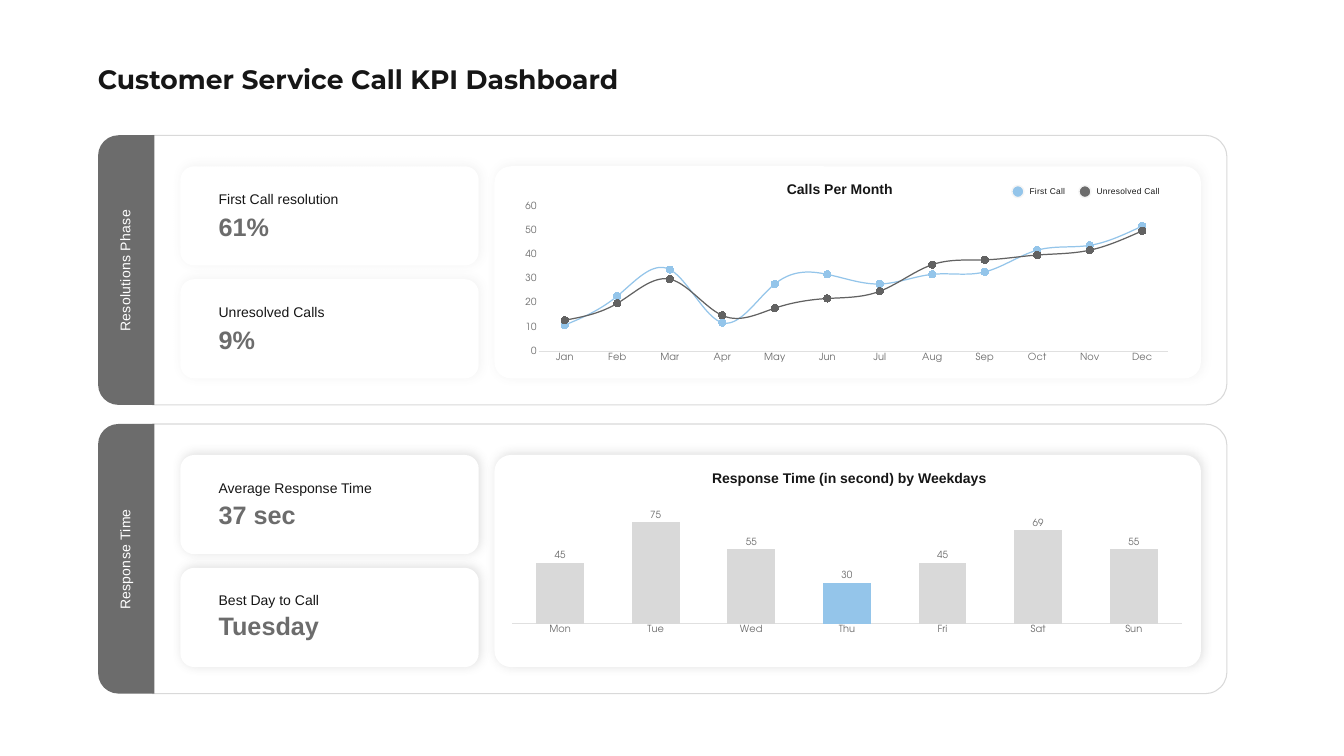
from dataclasses import dataclass, field
from typing import Any

from lxml.etree import SubElement
from pptx import Presentation
from pptx.chart.data import CategoryChartData as ChartData
from pptx.dml.color import RGBColor
from pptx.enum.chart import XL_CHART_TYPE as Kind
from pptx.enum.chart import XL_LABEL_POSITION as Spot
from pptx.enum.chart import XL_MARKER_STYLE as Mark
from pptx.enum.chart import XL_TICK_MARK as Tick
from pptx.enum.shapes import MSO_SHAPE as Form
from pptx.enum.text import MSO_ANCHOR as Anchor
from pptx.enum.text import MSO_AUTO_SIZE as Fit
from pptx.enum.text import PP_ALIGN as Align
from pptx.oxml import parse_xml
from pptx.oxml.ns import nsdecls, qn
from pptx.util import Cm, Pt

WHITE = RGBColor(0xFF, 0xFF, 0xFF)
INK = RGBColor(0x16, 0x16, 0x16)
GRAY = RGBColor(0x6C, 0x6C, 0x6C)
DARK = RGBColor(0x62, 0x62, 0x62)
PALE = RGBColor(0xD9, 0xD9, 0xD9)
AXIS = RGBColor(0xE0, 0xE0, 0xE0)
RIM = RGBColor(0xF5, 0xF5, 0xF5)
BLUE = RGBColor(0x94, 0xC5, 0xEA)

LABEL = {"size": Pt(20), "name": "Arial", "bold": False}
HEAD = {**LABEL, "bold": True}
VALUE = {**HEAD, "size": Pt(36)}
SMALL = {**LABEL, "size": Pt(12)}
TITLE = {"size": Pt(38), "name": "Montserrat", "bold": True}
CHART = {"size": Pt(14), "name": "TeX Gyre Adventor", "bold": False}
TIGHT = {"margin_left": 0, "margin_top": 0, "margin_right": 0, "margin_bottom": 0}
TOP = 8.38
PITCH = 14.55
DROP = 5.69


@dataclass
class Box:
    x: float
    y: float
    w: float
    h: float

    def place(self) -> list:
        return [Cm(v) for v in (self.x, self.y, self.w, self.h)]


@dataclass
class Card:
    label: str
    value: str
    rise: float


@dataclass
class Phase:
    name: str
    head: str
    mid: float
    wide: float
    shade: int
    cards: list[Card] = field(default_factory=list)


PHASES = [
    Phase("Resolutions Phase", "Calls Per Month", 42.33, 13.28, 8,
          [Card("First Call resolution", "61%", 2.16), Card("Unresolved Calls", "9%", 2.16)]),
    Phase("Response Time", "Response Time (in second) by Weekdays", 42.81, 15.93, 20,
          [Card("Average Response Time", "37 sec", 2.11), Card("Best Day to Call", "Tuesday", 2.03)]),
]
MONTHS = "Jan Feb Mar Apr May Jun Jul Aug Sep Oct Nov Dec".split()
DAYS = "Mon Tue Wed Thu Fri Sat Sun".split()
CALLS = {
    "First Call": [11, 23, 34, 12, 28, 32, 28, 32, 33, 42, 44, 52],
    "Unresolved Call": [13, 20, 30, 15, 18, 22, 25, 36, 38, 40, 42, 50],
}
TIMES = {"Response Time": [45, 75, 55, 30, 45, 69, 55]}


def put(item: Any, form: dict) -> None:
    for key, value in form.items():
        setattr(item, key, value)


def paint(item: Any, color: RGBColor) -> None:
    item.fill.solid()
    item.fill.fore_color.rgb = color


def shape(slide: Any, form: Any, box: Box, fill: RGBColor, bends: tuple = (),
          turn: int = 0, line: RGBColor | None = None, thick: float = 1.5) -> Any:
    item = slide.shapes.add_shape(form, *box.place())
    item.shadow.inherit = False
    item.rotation = turn
    for spot, bend in enumerate(bends):
        item.adjustments[spot] = bend
    paint(item, fill)
    if line is None:
        item.line.fill.background()
    else:
        item.line.color.rgb = line
        item.line.width = Pt(thick)
    return item


def write(item: Any, words: str, font: dict, color: RGBColor, align: Any = Align.LEFT,
          frame: dict | None = None, space: int = 0) -> None:
    body = item.text_frame
    put(body, {"word_wrap": True, "auto_size": Fit.NONE, **(frame or {})})
    para = body.paragraphs[0]
    para.alignment = align
    run = para.add_run()
    run.text = words
    put(run.font, font)
    run.font.color.rgb = color
    if space:
        run.font._element.set("spc", str(space))


def text(slide: Any, box: Box, *args: Any, turn: int = 0, **kwargs: Any) -> None:
    item = slide.shapes.add_textbox(*box.place())
    item.rotation = turn
    write(item, *args, **kwargs)


def tile(slide: Any, box: Box, bend: float, shade: int) -> None:
    item = shape(slide, Form.ROUNDED_RECTANGLE, box, WHITE, (bend,))
    glow = item._element.spPr.find(qn("a:effectLst"))
    cast = SubElement(glow, qn("a:outerShdw"), blurRad=str(Pt(15)), dist=str(Pt(3)),
                      dir="18900000", algn="ctr", rotWithShape="0")
    tint = SubElement(cast, qn("a:srgbClr"), val=str(DARK))
    SubElement(tint, qn("a:alpha"), val=str(shade * 1000))


def panel(slide: Any, phase: Phase, down: float) -> None:
    form = Form.ROUND_2_SAME_RECTANGLE
    shape(slide, form, Box(27.97, down - 13.46, 13.59, 54.15), WHITE, (0.081, 0), 90, PALE)
    shape(slide, form, Box(-0.43, down + 12.19, 13.59, 2.84), GRAY, (0.361, 0), 270)
    text(slide, Box(1.04, down + 12.8, 10.49, 1.8), phase.name, LABEL, WHITE, Align.CENTER,
         {**TIGHT, "margin_left": Cm(0.1), "vertical_anchor": Anchor.MIDDLE}, 40, turn=270)
    for spot, card in enumerate(phase.cards):
        y = TOP + down + spot * DROP
        tile(slide, Box(9.09, y, 15.04, 5), 0.14, phase.shade)
        text(slide, Box(10.77, y + 1.09, 9.96, 1.12), card.label, LABEL, INK)
        text(slide, Box(10.77, y + card.rise, 9.96, 1.8), card.value, VALUE, GRAY)
    tile(slide, Box(24.92, TOP + down, 35.61, 10.69), 0.078, phase.shade)
    text(slide, Box(phase.mid - phase.wide / 2, TOP + down + 0.6, phase.wide, 1.12),
         phase.head, HEAD, INK, Align.CENTER)


def graph(slide: Any, kind: Any, box: Box, cats: list, rows: dict, top: int, step: int) -> Any:
    data = ChartData()
    data.categories = cats
    for name, nums in rows.items():
        data.add_series(name, nums)
    chart = slide.shapes.add_chart(kind, *box.place(), data).chart
    put(chart, {"has_title": False, "has_legend": False})
    put(chart.value_axis, {"minimum_scale": 0, "maximum_scale": top, "major_unit": step})
    for font in (chart.font, chart.category_axis.tick_labels.font, chart.value_axis.tick_labels.font):
        put(font, CHART)
        font.color.rgb = GRAY
    for axis in (chart.category_axis, chart.value_axis):
        put(axis, {"has_major_gridlines": False, "major_tick_mark": Tick.NONE,
                   "minor_tick_mark": Tick.NONE})
    edge = chart.category_axis.format.line
    edge.color.rgb = AXIS
    edge.width = Pt(0.75)
    chart.value_axis.format.line.fill.background()
    chart.plots[0].vary_by_categories = False
    return chart


def lines(slide: Any) -> None:
    chart = graph(slide, Kind.LINE_MARKERS, Box(25.81, 10.01, 33.76, 8.46), MONTHS, CALLS, 60, 10)
    for row, color in zip(chart.plots[0].series, (BLUE, DARK)):
        row.smooth = True
        row.format.line.color.rgb = color
        row.format.line.width = Pt(1.75)
        put(row.marker, {"style": Mark.CIRCLE, "size": 10})
        paint(row.marker.format, color)
        row.marker.format.line.color.rgb = color


def bars(slide: Any) -> None:
    chart = graph(slide, Kind.COLUMN_CLUSTERED, Box(25.81, 25.04, 33.76, 7.72), DAYS, TIMES, 90, 20)
    chart.value_axis.visible = False
    plot = chart.plots[0]
    put(plot, {"gap_width": 100, "overlap": -24, "has_data_labels": True})
    tags = plot.data_labels
    put(tags, {"show_value": True, "position": Spot.OUTSIDE_END})
    put(tags.font, CHART)
    tags.font.color.rgb = GRAY
    row = plot.series[0]
    paint(row.format, PALE)
    paint(row.points[DAYS.index("Thu")].format, BLUE)
    area = chart._chartSpace.chart.plotArea
    for old in area.findall(qn("c:layout")):
        area.remove(old)
    sides = {"layoutTarget": "inner", "xMode": "edge", "yMode": "edge",
             "x": 0, "y": 0.033, "w": 1, "h": 0.795}
    parts = "".join(f'<c:{key} val="{value}"/>' for key, value in sides.items())
    area.insert(0, parse_xml(
        f'<c:layout {nsdecls("c")}><c:manualLayout>{parts}</c:manualLayout></c:layout>'))


def legend(slide: Any) -> None:
    for spot, (name, color) in enumerate(zip(CALLS, (BLUE, GRAY))):
        x = 51 + spot * 3.38
        shape(slide, Form.OVAL, Box(x, 9.35, 0.61, 0.61), color, line=RIM, thick=2)
        text(slide, Box(x + 0.89, 9.4, 4.8, 0.51), name, SMALL, INK,
             frame={**TIGHT, "vertical_anchor": Anchor.BOTTOM}, space=40)


def main() -> None:
    deck = Presentation()
    put(deck, {"slide_width": Cm(67.74), "slide_height": Cm(38.1)})
    slide = deck.slides.add_slide(deck.slide_layouts[5])
    title = slide.shapes.title
    put(title, dict(zip(("left", "top", "width", "height"), Box(4.93, 3.15, 43.54, 1.63).place())))
    write(title, "Customer Service Call KPI Dashboard", TITLE, INK,
          frame={**TIGHT, "vertical_anchor": Anchor.TOP})
    for spot, phase in enumerate(PHASES):
        panel(slide, phase, spot * PITCH)
    lines(slide)
    legend(slide)
    bars(slide)
    deck.save("out.pptx")


if __name__ == "__main__":
    main()
